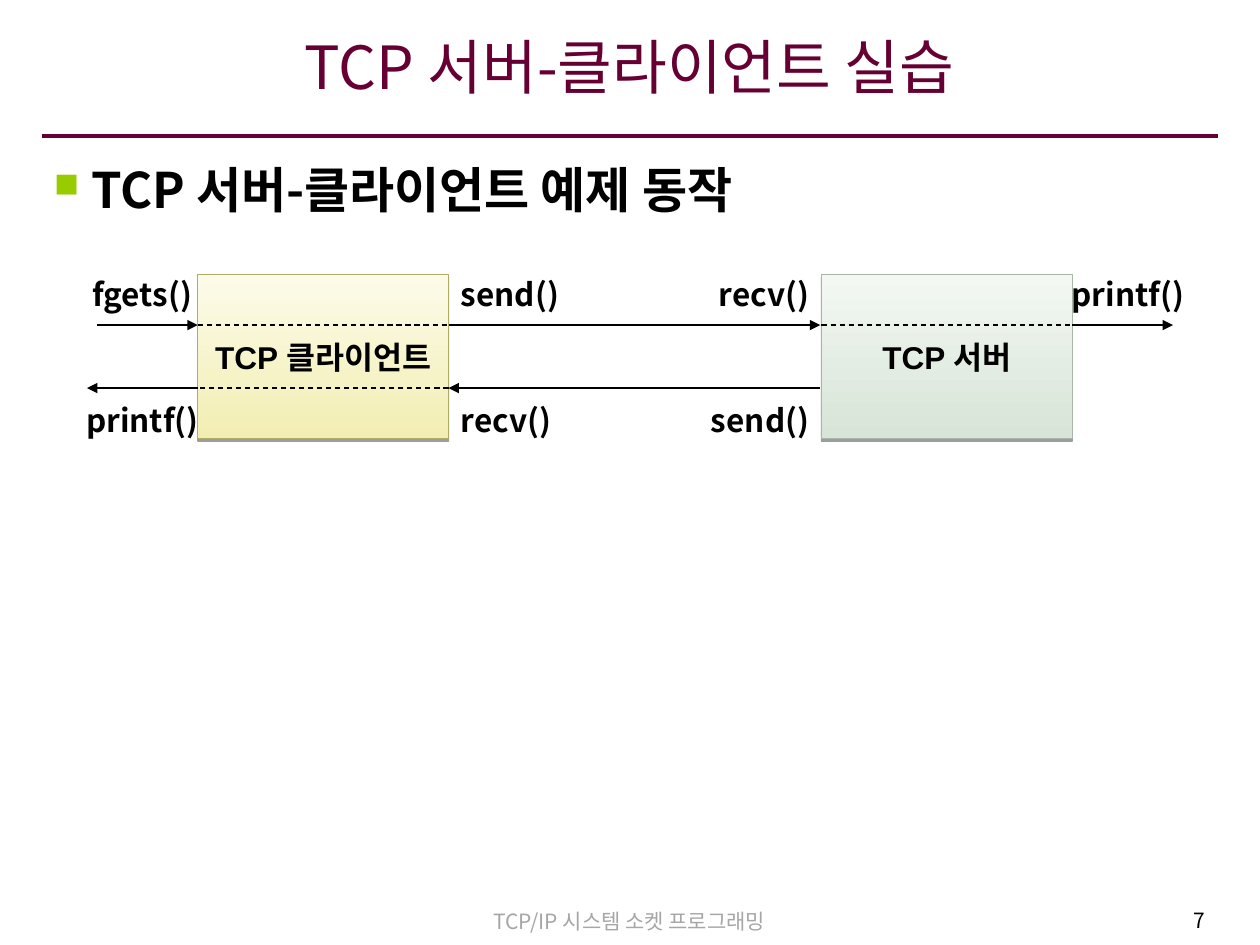
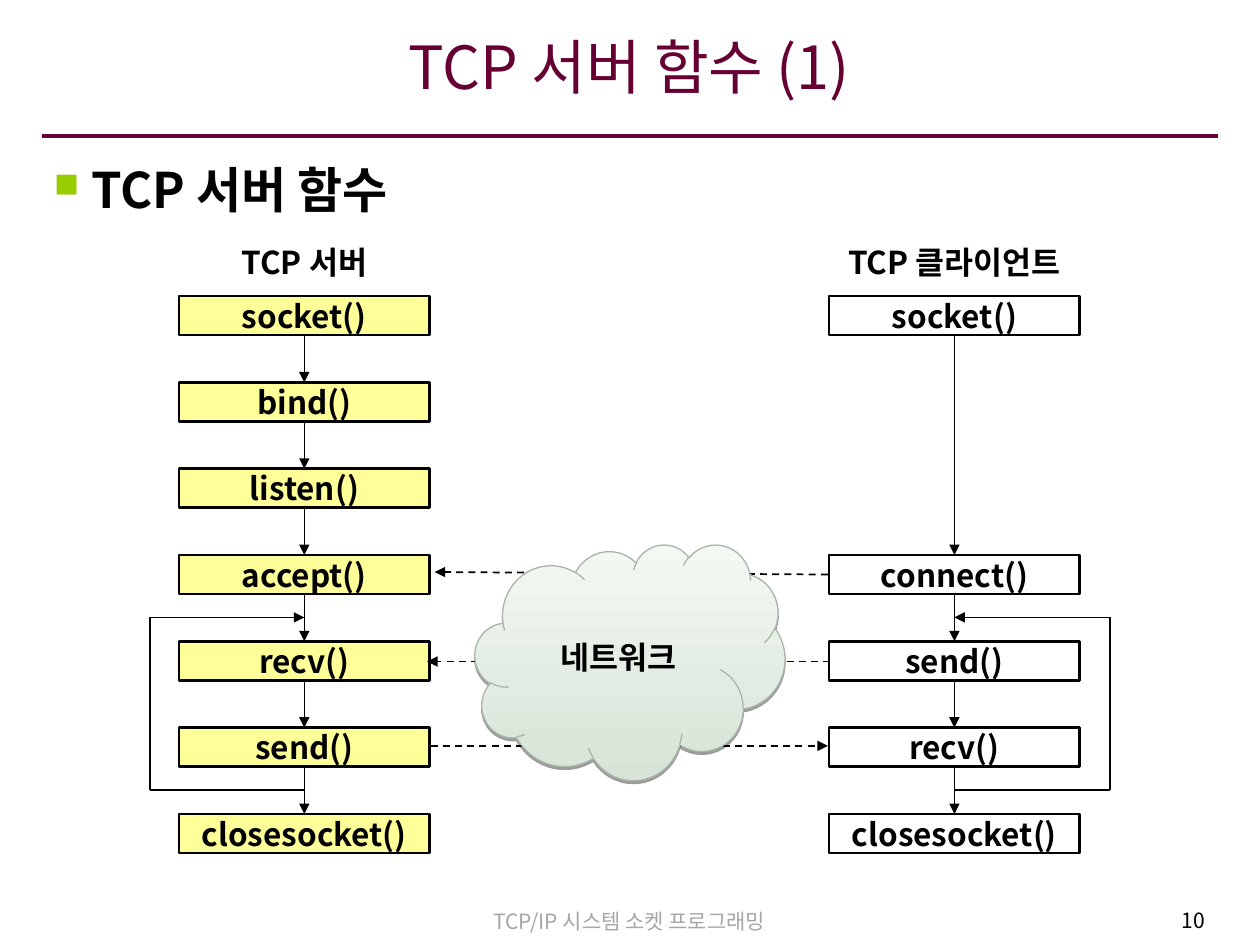
from lxml.etree import SubElement
from pptx import Presentation
from pptx.dml.color import RGBColor
from pptx.enum.dml import MSO_LINE
from pptx.enum.shapes import MSO_CONNECTOR, MSO_SHAPE
from pptx.enum.text import MSO_ANCHOR, MSO_AUTO_SIZE, PP_ALIGN
from pptx.oxml.ns import qn
from pptx.util import Inches, Pt

COLORS = {
    "wine": "660033", "lime": "99CC00", "black": "000000", "footer": "A6A6A6",
    "yellow": "FFFF99", "olive": "AFAC67", "sage": "A9B5A9",
}
GRADIENTS = {"olive": ("F2EEB2", "FCFBEA"), "sage": ("D7E4D7", "F3F8F3")}
FONT = "Noto Sans CJK KR"
LEFT, CENTER, RIGHT = PP_ALIGN.LEFT, PP_ALIGN.CENTER, PP_ALIGN.RIGHT


def add_text(page, area, text, box=None, size=18, color="black", bold=True,
             align=CENTER, anchor=MSO_ANCHOR.MIDDLE, wrap=False, font=FONT):
    """Write one paragraph into box, or into a new text box, placed at area."""
    lengths = [Inches(value) for value in area]
    box = box or page.shapes.add_textbox(*lengths)
    box.left, box.top, box.width, box.height = lengths
    frame = box.text_frame
    frame.auto_size = MSO_AUTO_SIZE.NONE
    frame.word_wrap = wrap
    frame.vertical_anchor = anchor
    para = frame.paragraphs[0]
    para.alignment = align
    span = para.add_run()
    span.text = text
    span.font.size = Pt(size)
    span.font.bold = bold
    span.font.color.rgb = RGBColor.from_string(COLORS[color])
    span.font.name = font
    SubElement(span.font._element, qn("a:ea"), typeface=FONT)
    return box


def add_line(page, start, end, width=0.75, color="black", dashed=False, arrow=False):
    line = page.shapes.add_connector(
        MSO_CONNECTOR.STRAIGHT, *[Inches(value) for value in (*start, *end)])
    line.line.width = Pt(width)
    line.line.color.rgb = RGBColor.from_string(COLORS[color])
    if dashed:
        line.line.dash_style = MSO_LINE.DASH
    properties = line._element.spPr
    if arrow:
        SubElement(properties.find(qn("a:ln")), qn("a:tailEnd"), type="triangle")
    SubElement(properties, qn("a:effectLst"))


deck = Presentation()
deck.slide_width, deck.slide_height = Inches(10), Inches(7.5)

# Shared frame: title, rule, heading, footer and page number
pages = []
for title, heading, number in [
    ("TCP 서버-클라이언트 실습", "TCP 서버-클라이언트 예제 동작", "7"),
    ("TCP 서버 함수 (1)", "TCP 서버 함수", "10"),
]:
    page = deck.slides.add_slide(deck.slide_layouts[5])
    pages.append(page)
    add_line(page, (0.33, 1.08), (9.67, 1.08), width=2.25, color="wine")
    add_text(page, (2.87, 7.16, 4.25, 0.3), "TCP/IP 시스템 소켓 프로그래밍", size=12,
             color="footer", bold=False, anchor=MSO_ANCHOR.TOP, wrap=True)
    add_text(page, (7.54, 7.15, 2.12, 0.33), number, size=12, bold=False,
             align=RIGHT, anchor=MSO_ANCHOR.TOP, wrap=True)
    box = add_text(page, (0.33, 0.15, 9.33, 0.85), title, page.shapes.title,
                   size=34, color="wine", bold=False, wrap=True)
    frame = box.text_frame
    frame.margin_left = frame.margin_right = Inches(0.08)
    frame.margin_top, frame.margin_bottom = Inches(0.05), Inches(0.16)

    box = add_text(page, (0.33, 1.22, 9.33, 5.86), heading, size=28, align=LEFT,
                   anchor=MSO_ANCHOR.TOP, wrap=True)
    para = box.text_frame.paragraphs[0]
    para.space_before = Pt(7)
    bullet = para._element.get_or_add_pPr()
    bullet.set("marL", str(Inches(0.3)))
    bullet.set("indent", str(Inches(-0.3)))
    SubElement(SubElement(bullet, qn("a:buClr")), qn("a:srgbClr"), val=COLORS["lime"])
    SubElement(bullet, qn("a:buSzPct"), val="70000")
    SubElement(bullet, qn("a:buChar"), char="■")

echo_page, calls_page = pages

# Call sequence: one column of boxes per side
row_top, row_step = 2.35, 4.11 / 6
box_width, box_height = 1.99, 0.31
server_calls = enumerate(["socket()", "bind()", "listen()", "accept()",
                          "recv()", "send()", "closesocket()"])
client_calls = [(0, "socket()"), (3, "connect()"), (4, "send()"),
                (5, "recv()"), (6, "closesocket()")]
for name, left, loop_x, fill, calls in [
    ("TCP 서버", 1.42, 1.19, "yellow", server_calls),
    ("TCP 클라이언트", 6.58, 8.81, None, client_calls),
]:
    add_text(calls_page, (left, 1.92, box_width, box_height), name)
    middle = left + box_width / 2
    previous_bottom = None
    for row, call in calls:
        top = row_top + row * row_step
        box = calls_page.shapes.add_shape(MSO_SHAPE.RECTANGLE, 0, 0, 0, 0)
        add_text(calls_page, (left, top, box_width, box_height), call, box)
        box.shadow.inherit = False
        if fill:
            box.fill.solid()
            box.fill.fore_color.rgb = RGBColor.from_string(COLORS[fill])
        else:
            box.fill.background()
        box.line.width = Pt(1.5)
        box.line.color.rgb = RGBColor.from_string(COLORS["black"])
        if previous_bottom:
            add_line(calls_page, (middle, previous_bottom), (middle, top), arrow=True)
        previous_bottom = top + box_height
    add_line(calls_page, (middle, 6.27), (loop_x, 6.27))
    add_line(calls_page, (loop_x, 6.27), (loop_x, 4.9))
    add_line(calls_page, (loop_x, 4.9), (middle, 4.9), arrow=True)

for start, end in [((6.57, 4.56), (3.45, 4.54)),
                   ((6.59, 5.25), (3.39, 5.25)),
                   ((3.42, 5.92), (6.57, 5.92))]:
    add_line(calls_page, start, end, width=1, dashed=True, arrow=True)

# Shaded shapes: the network cloud and the two programs
for page, kind, area, text, tone in [
    (calls_page, MSO_SHAPE.CLOUD, (3.77, 4.32, 2.46, 1.87), "네트워크", "sage"),
    (echo_page, MSO_SHAPE.RECTANGLE, (1.57, 2.18, 1.99, 1.3), "TCP 클라이언트", "olive"),
    (echo_page, MSO_SHAPE.RECTANGLE, (6.52, 2.18, 1.99, 1.3), "TCP 서버", "sage"),
]:
    box = page.shapes.add_shape(kind, 0, 0, 0, 0)
    add_text(page, area, text, box, font="Arial")
    box.fill.gradient()
    box.fill.gradient_angle = 90
    for stop, shade in zip(box.fill.gradient_stops, GRADIENTS[tone]):
        stop.color.rgb = RGBColor.from_string(shade)
    box.line.width = Pt(0.75)
    box.line.color.rgb = RGBColor.from_string(COLORS[tone])
    box.shadow.inherit = False
    shadow = SubElement(box._element.spPr.find(qn("a:effectLst")), qn("a:outerShdw"),
                        blurRad="0", dist=str(Pt(1.6)), dir="5400000", rotWithShape="0")
    shadow_color = SubElement(shadow, qn("a:srgbClr"), val=COLORS["black"])
    SubElement(shadow_color, qn("a:alpha"), val="38000")

# Echo path: the request runs right on top, the reply runs left below
request_y, reply_y = 2.58, 3.08
for start_x, end_x, y, inside in [
    (0.77, 1.57, request_y, False), (1.57, 3.56, request_y, True),
    (3.56, 6.51, request_y, False), (6.52, 8.51, request_y, True),
    (8.51, 9.31, request_y, False), (6.51, 3.56, reply_y, False),
    (3.56, 1.57, reply_y, True), (1.57, 0.69, reply_y, False),
]:
    add_line(echo_page, (start_x, y), (end_x, y), dashed=inside, arrow=not inside)

for call, left, top, width, align in [
    ("fgets()", 0.77, 2.08, 0.72, CENTER), ("send()", 3.56, 2.08, 0.88, LEFT),
    ("recv()", 5.24, 2.08, 1.28, RIGHT), ("printf()", 8.59, 2.08, 0.72, CENTER),
    ("printf()", 0.77, 3.08, 0.72, CENTER), ("recv()", 3.56, 3.08, 0.96, LEFT),
    ("send()", 5.24, 3.08, 1.28, RIGHT),
]:
    add_text(echo_page, (left, top, width, 0.5), call, align=align)

deck.save("out.pptx")
